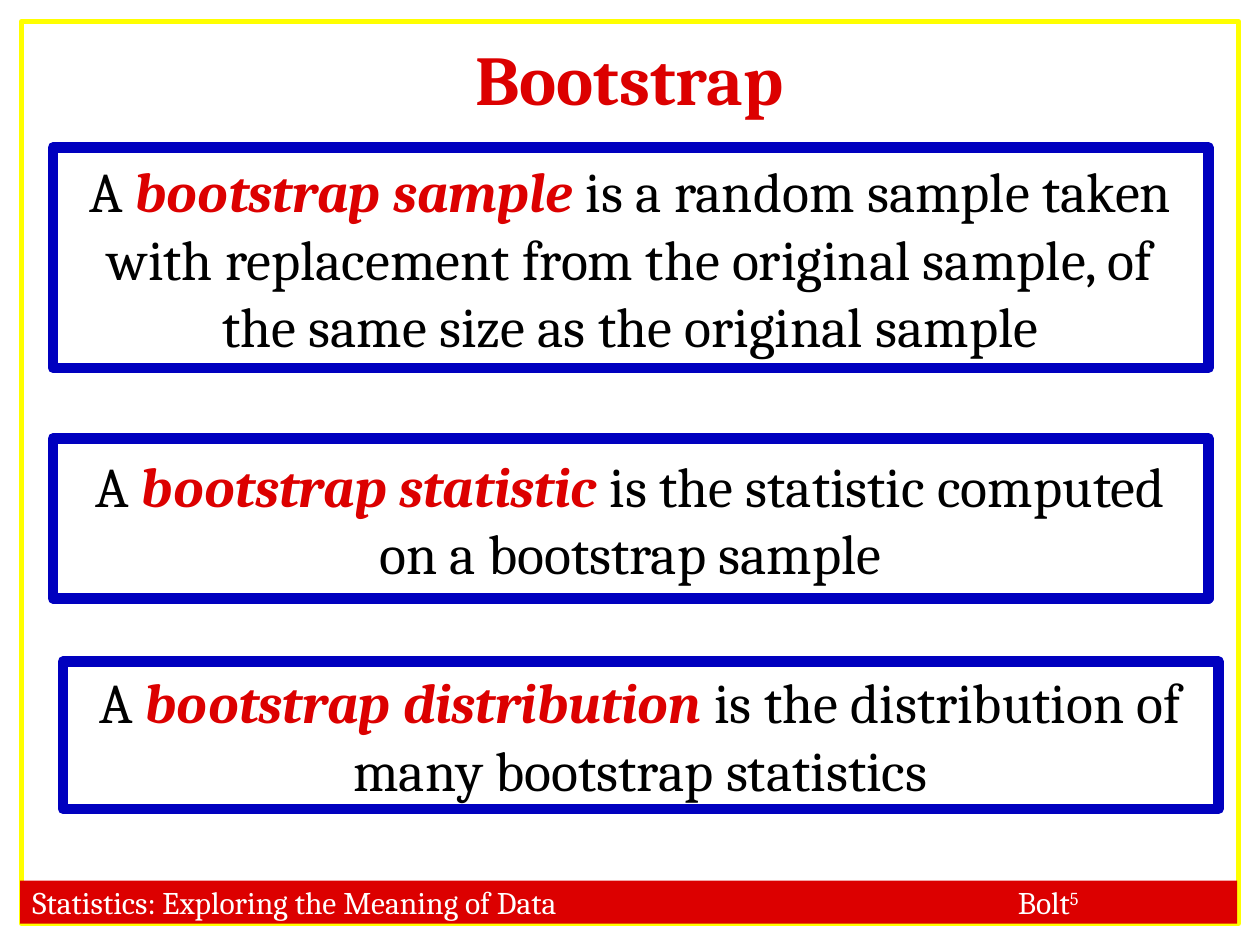
from lxml import etree
from pptx import Presentation
from pptx.dml.color import RGBColor
from pptx.enum.shapes import MSO_SHAPE
from pptx.enum.text import MSO_ANCHOR, PP_ALIGN
from pptx.oxml.ns import qn
from pptx.util import Inches, Pt

RECTANGLE = MSO_SHAPE.RECTANGLE
MIDDLE, BOTTOM = MSO_ANCHOR.MIDDLE, MSO_ANCHOR.BOTTOM
LEFT, CENTER = PP_ALIGN.LEFT, PP_ALIGN.CENTER

RED = RGBColor(0xDC, 0x00, 0x00)
BLUE = RGBColor(0x00, 0x00, 0xBF)
YELLOW = RGBColor(0xFF, 0xFF, 0x00)
WHITE = RGBColor(0xFF, 0xFF, 0xFF)
BLACK = RGBColor(0x00, 0x00, 0x00)


def add_rectangle(left, top, width, height, fill=None, line=None, line_width=0):
    box = page.shapes.add_shape(
        RECTANGLE, Inches(left), Inches(top), Inches(width), Inches(height))
    box.shadow.inherit = False
    if fill is None:
        box.fill.background()
    else:
        box.fill.solid()
        box.fill.fore_color.rgb = fill
    if line is None:
        box.line.fill.background()
    else:
        box.line.color.rgb = line
        box.line.width = Pt(line_width)
    return box


def add_span(para, text, size, color, bold=False, italic=False):
    span = para.add_run()
    span.text = text
    span.font.name = "Cambria"
    span.font.size = Pt(size)
    span.font.color.rgb = color
    span.font.bold = bold
    span.font.italic = italic
    return span


deck = Presentation()
deck.slide_width = Inches(10)
deck.slide_height = Inches(7.5)
page = deck.slides.add_slide(deck.slide_layouts[6])

# Page frame and footer
add_rectangle(0.17, 0.17, 9.66, 7.16, line=YELLOW, line_width=3)
footer = add_rectangle(0.16, 6.99, 9.66, 0.34, fill=RED)
footer.text_frame.vertical_anchor = MIDDLE
footer.text_frame.word_wrap = False
para = footer.text_frame.paragraphs[0]
para.alignment = LEFT
tab_list = etree.SubElement(para._p.get_or_add_pPr(), qn("a:tabLst"))
etree.SubElement(tab_list, qn("a:tab"), pos=str(Inches(7.82)), algn="l")
add_span(para, "Statistics: Exploring the Meaning of Data\tBolt", 18, WHITE)
superscript = add_span(para, "5", 18, WHITE)
superscript.font._element.set("baseline", "30000")

# Title
title = page.shapes.add_textbox(
    Inches(0.33), Inches(0.17), Inches(9.33), Inches(0.83))
title.text_frame.word_wrap = True
title.text_frame.vertical_anchor = BOTTOM
para = title.text_frame.paragraphs[0]
para.alignment = CENTER
add_span(para, "Bootstrap", 40, RED, bold=True)

# Definitions: left, top, height, term, meaning
definitions = [
    (0.42, 1.17, 1.75, "bootstrap sample ",
     "is a random sample taken with replacement from the original sample, "
     "of the same size as the original sample"),
    (0.42, 3.48, 1.27, "bootstrap statistic ",
     "is the statistic computed on a bootstrap sample"),
    (0.5, 5.25, 1.17, "bootstrap distribution ",
     "is the distribution of many bootstrap statistics"),
]
for left, top, height, term, meaning in definitions:
    box = add_rectangle(left, top, 9.17, height, line=BLUE, line_width=6)
    box.text_frame.word_wrap = True
    box.text_frame.vertical_anchor = MIDDLE
    para = box.text_frame.paragraphs[0]
    para.alignment = CENTER
    para.space_after = Pt(18)
    add_span(para, "A ", 32, BLACK)
    add_span(para, term, 32, RED, bold=True, italic=True)
    add_span(para, meaning, 32, BLACK)

deck.save("out.pptx")
